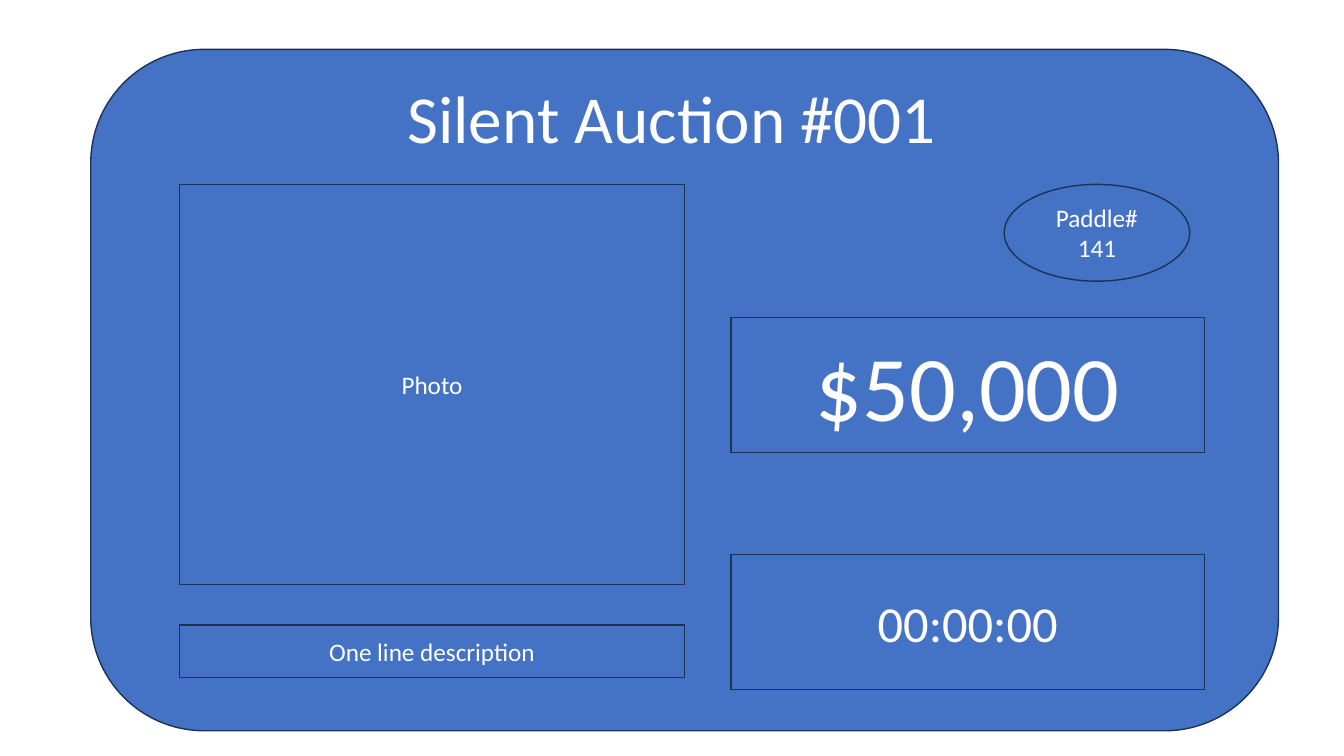
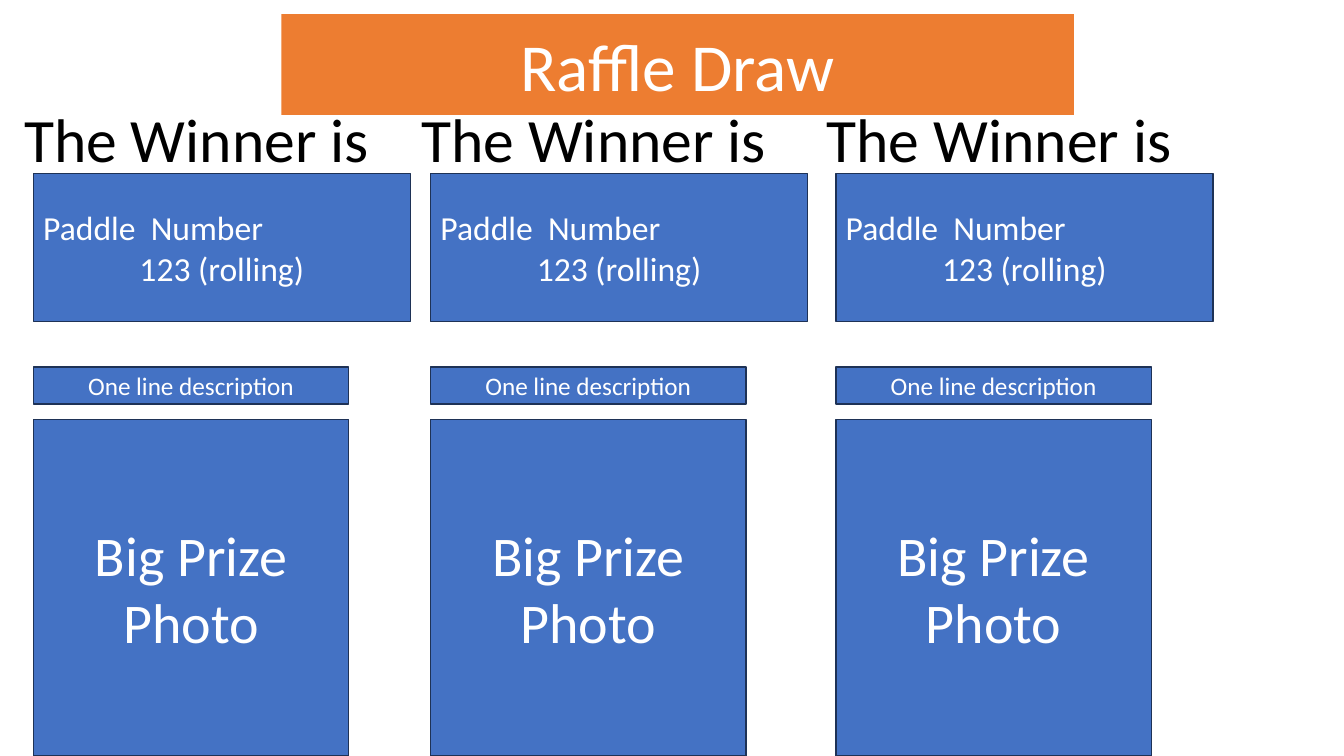
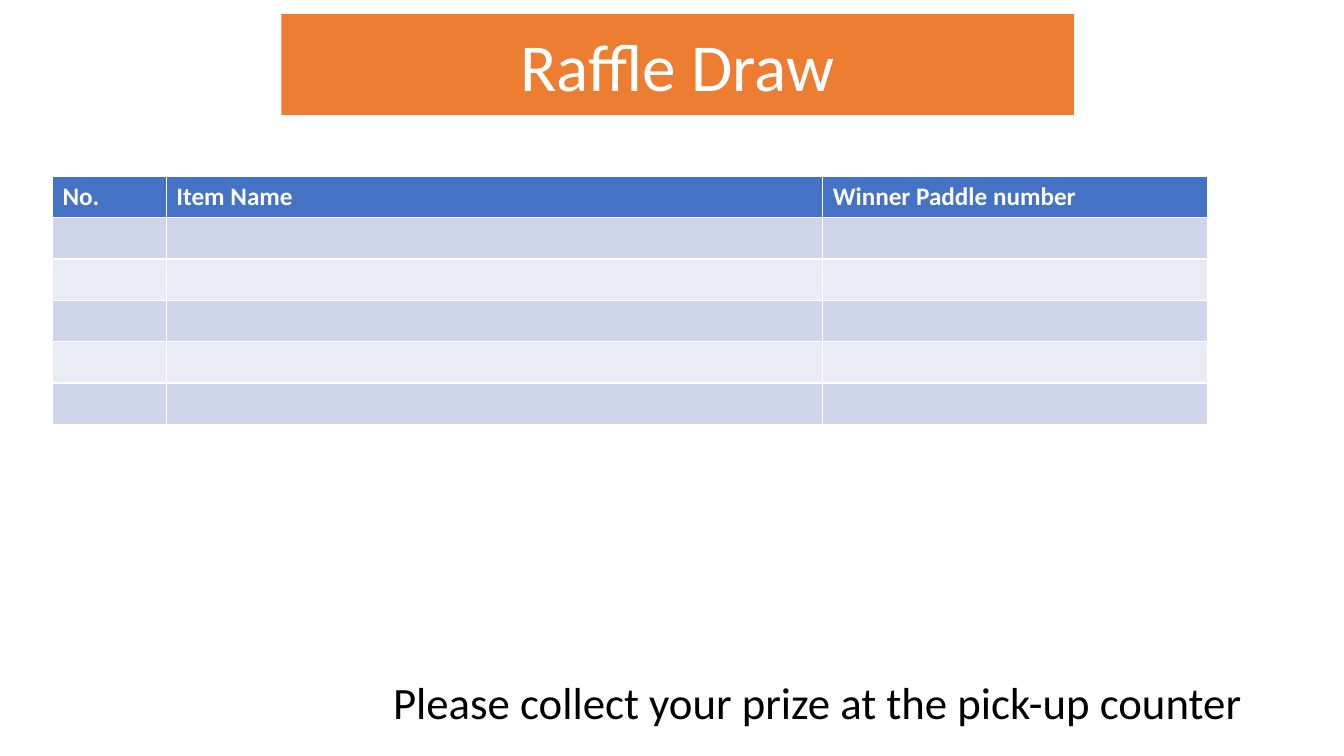
from pptx import Presentation
from pptx.dml.color import RGBColor
from pptx.enum.shapes import MSO_SHAPE as Preset
from pptx.enum.text import MSO_ANCHOR as Anchor, MSO_AUTO_SIZE as AutoSize, PP_ALIGN as Align
from pptx.util import Inches, Pt

FONT = "Calibri"
BLUE = RGBColor(0x44, 0x72, 0xC4)
NAVY = RGBColor(0x1E, 0x32, 0x56)
ORANGE = RGBColor(0xED, 0x7D, 0x31)
WHITE = RGBColor(0xFF, 0xFF, 0xFF)
BLACK = RGBColor(0, 0, 0)
BAND_DARK = RGBColor(0xCF, 0xD5, 0xEA)
BAND_LIGHT = RGBColor(0xE9, 0xEB, 0xF5)

deck = Presentation()
deck.slide_width, deck.slide_height = Inches(13.33), Inches(7.5)
title_only = deck.slide_layouts[5]


def write(frame, lines, size, color, aligns):
    """Fill a text frame with one paragraph per line, each with its alignment."""
    frame.text = "\n".join(lines)
    for paragraph, align in zip(frame.paragraphs, aligns):
        paragraph.alignment = align
        paragraph.font.name, paragraph.font.size = FONT, Pt(size)
        paragraph.font.color.rgb = color


def add_panel(slide, area, text="", size=18, preset=Preset.RECTANGLE, aligns=(Align.CENTER,)):
    """Add a blue outlined shape; area is left, top, width, height in inches."""
    panel = slide.shapes.add_shape(preset, *map(Inches, area))
    panel.shadow.inherit = False
    panel.fill.solid()
    panel.fill.fore_color.rgb = BLUE
    panel.line.color.rgb, panel.line.width = NAVY, Pt(1)
    if text:
        write(panel.text_frame, text.split("\n"), size, WHITE, aligns)
    return panel


# Slides and their title bands
slides = []
for heading, band_color, band_area in (
    ("Silent Auction #001", BLUE, (2.79, 0.66, 7.75, 1)),
    ("Raffle Draw", ORANGE, (2.79, 0.14, 7.86, 1)),
    ("Raffle Draw", ORANGE, (2.79, 0.14, 7.86, 1)),
):
    slide = deck.slides.add_slide(title_only)
    title = slide.shapes.title
    title.left, title.top, title.width, title.height = map(Inches, band_area)
    title.fill.solid()
    title.fill.fore_color.rgb = band_color
    write(title.text_frame, [heading], 48, WHITE, [Align.CENTER])
    title.text_frame.vertical_anchor = Anchor.MIDDLE
    title.text_frame.auto_size = AutoSize.NONE
    slides.append(slide)
auction, winners, results = slides

# Silent auction: item on the left, bidding on the right
card = add_panel(auction, (0.9, 0.49, 11.78, 6.76), preset=Preset.ROUNDED_RECTANGLE)
title_element = auction.shapes.title._element
title_element.addprevious(card._element)

item_left, item_width = 1.78, 5.01
bid_left, bid_width, bid_height = 7.25, 4.7, 1.34
content_top = 1.83
add_panel(auction, (item_left, content_top, item_width, 3.97), "Photo")
add_panel(auction, (item_left, 6.2, item_width, 0.52), "One line description")
add_panel(auction, (bid_left, 3.15, bid_width, bid_height), "$50,000", 66)
add_panel(auction, (9.96, content_top, 1.84, 0.96), "Paddle# 141", preset=Preset.OVAL)
add_panel(auction, (bid_left, 5.5, bid_width, bid_height), "00:00:00", 36)

# Raffle winners: three columns; captions sit slightly left of their column
captions = []
prize_width = 3.13
for column_left in (0.33, 4.27, 8.29):
    add_panel(winners, (column_left, 4.16, prize_width, 3.34), "Big Prize Photo", 40)
    add_panel(winners, (column_left, 3.64, prize_width, 0.37), "One line description")
    captions.append((winners, "The Winner is", 44, (column_left - 0.19, 0.95, 3.66, 0.84)))
    add_panel(winners, (column_left, 1.72, 3.74, 1.47), "Paddle  Number\n123 (rolling)", 24,
              aligns=(Align.LEFT, Align.CENTER))

# Raffle results
headers = ("No.", "Item Name", "Winner Paddle number")
column_widths = (1.13, 6.51, 3.82)
row_count, row_height = 6, 0.41
table = results.shapes.add_table(
    row_count, len(headers), Inches(0.52), Inches(1.75),
    Inches(sum(column_widths)), Inches(row_count * row_height)).table
for column, width in zip(table.columns, column_widths):
    column.width = Inches(width)
for row_index, row in enumerate(table.rows):
    row.height = Inches(row_height)
    for column_index, cell in enumerate(row.cells):
        cell.fill.solid()
        if row_index == 0:
            cell.fill.fore_color.rgb = BLUE
            write(cell.text_frame, [headers[column_index]], 18, WHITE, [Align.LEFT])
            cell.text_frame.paragraphs[0].font.bold = True
        else:
            cell.fill.fore_color.rgb = BAND_DARK if row_index % 2 else BAND_LIGHT

# Plain captions
captions.append((results, "Please collect your prize at the pick-up counter", 32,
                 (3.8, 6.64, 8.72, 0.64)))
for slide, caption, size, area in captions:
    frame = slide.shapes.add_textbox(*map(Inches, area)).text_frame
    frame.word_wrap = False
    frame.auto_size = AutoSize.SHAPE_TO_FIT_TEXT
    write(frame, [caption], size, BLACK, [Align.LEFT])

deck.save("out.pptx")
